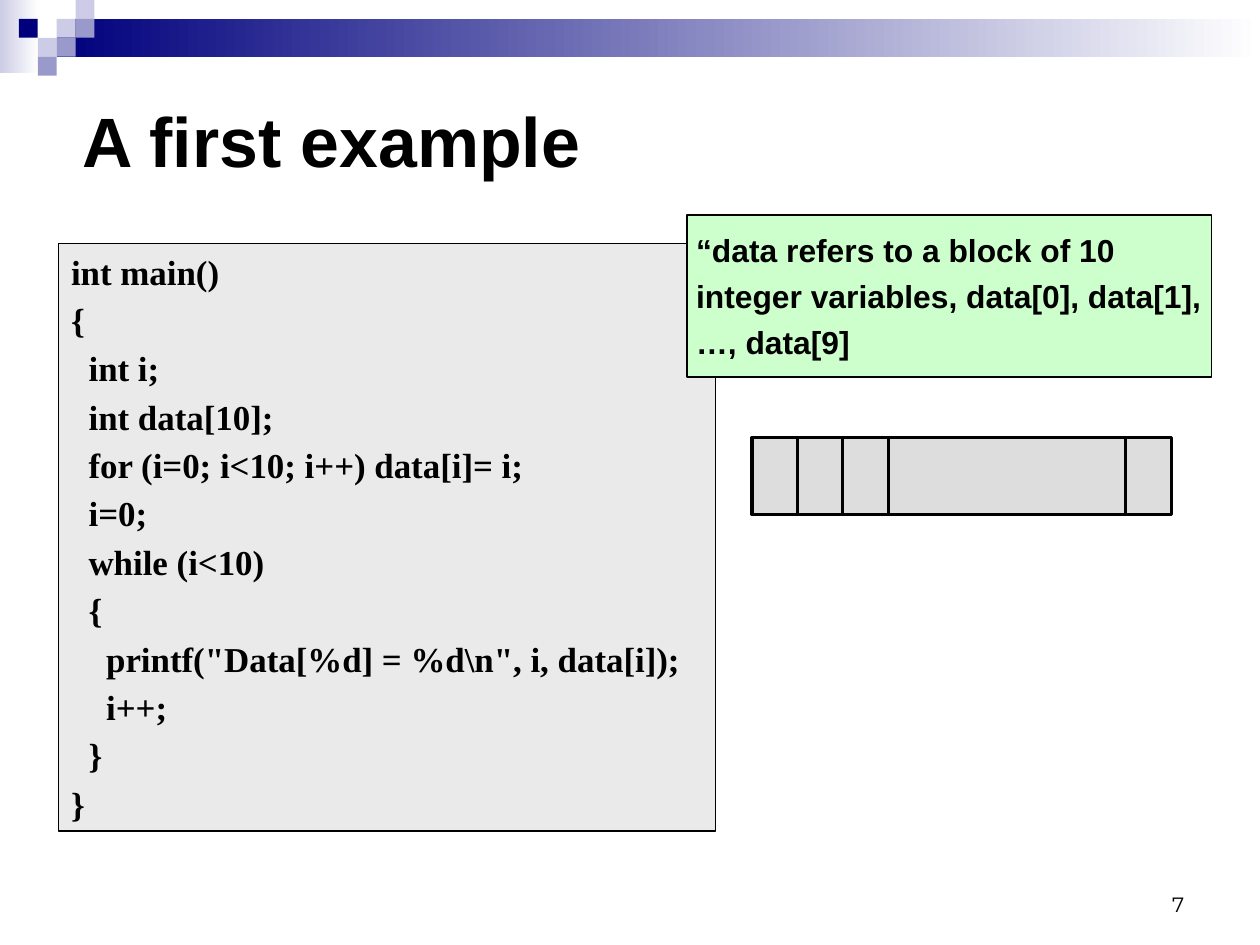
from pptx import Presentation
from pptx import util as u
from pptx.dml.color import RGBColor
from pptx.enum import shapes, text
from pptx.oxml.ns import qn
from lxml import etree

Cm, Pt = u.Cm, u.Pt

COLOURS = {
    "ink": "000000",
    "paper": "FFFFFF",
    "navy": "00007D",
    "lilac": "CCCCE6",
    "violet": "9999CC",
    "code": "EAEAEA",
    "callout": "CCFFCC",
    "cell": "DDDDDD",
}

# Indent level and text of each line of the program
PROGRAM = [
    (0, "int main()"),
    (0, "{"),
    (1, "int i;"),
    (1, "int data[10];"),
    (1, "for (i=0; i<10; i++) data[i]= i;"),
    (1, "i=0;"),
    (1, "while (i<10)"),
    (1, "{"),
    (2, 'printf("Data[%d] = %d\\n", i, data[i]);'),
    (2, "i++;"),
    (1, "}"),
    (0, "}"),
]
EXPLANATION = [
    (0, "“data refers to a block of 10"),
    (0, "integer variables, data[0], data[1],"),
    (0, "…, data[9]"),
]
INDENT = 0.39


def colour(name):
    return RGBColor.from_string(COLOURS[name])


def add_box(slide, box, fill=None, line_width=0):
    """Add a rectangle; box is left, top, width, height in cm."""
    rectangle = slide.shapes.add_shape(shapes.MSO_SHAPE.RECTANGLE, *map(Cm, box))
    rectangle.shadow.inherit = False
    if fill:
        rectangle.fill.solid()
        rectangle.fill.fore_color.rgb = colour(fill)
    if line_width:
        rectangle.line.color.rgb = colour("ink")
        rectangle.line.width = Pt(line_width)
    else:
        rectangle.line.fill.background()
    return rectangle


def add_fade(slide, box, start):
    band = add_box(slide, box)
    band.fill.gradient()
    band.fill.gradient_angle = 0
    for stop, name, position in zip(band.fill.gradient_stops, (start, "paper"), (0, 1)):
        stop.color.rgb = colour(name)
        stop.position = position


def set_frame(frame, anchor, left=0.28, right=0.28, edge=0.15, wrap=True):
    frame.word_wrap = wrap
    frame.auto_size = text.MSO_AUTO_SIZE.NONE
    frame.vertical_anchor = anchor
    frame.margin_left, frame.margin_right = Cm(left), Cm(right)
    frame.margin_top = frame.margin_bottom = Cm(edge)


def write_lines(frame, lines, font, size, bold=True, space=0, align=text.PP_ALIGN.LEFT):
    for number, (level, words) in enumerate(lines):
        paragraph = frame.add_paragraph() if number else frame.paragraphs[0]
        paragraph.alignment = align
        paragraph.space_before = Pt(space)
        if level:
            paragraph._p.get_or_add_pPr().set("marL", str(Cm(level * INDENT)))
        run = paragraph.add_run()
        run.text = words
        run.font.name = font
        run.font.size = Pt(size)
        run.font.bold = bold
        run.font.color.rgb = colour("ink")


def add_banner(slide, box):
    """Fading band with a mosaic of squares at its left end."""
    left, top, width, unit = box
    add_fade(slide, (left, top, 0.86, 1.63), "lilac")
    add_fade(slide, (left + 3 * unit, top + unit, width - 3 * unit, 2 * unit), "navy")
    mosaic = [
        (3, 1, "lilac"), (4, 0, "lilac"), (4, 1, "violet"), (2, 2, "lilac"),
        (1, 1, "navy"), (3, 2, "violet"), (2, 3, "violet"),
    ]
    for column, row, name in mosaic:
        add_box(slide, (left + column * unit, top + row * unit, unit, unit), name)


def add_title(slide, box, words):
    title = slide.shapes.title
    title.left, title.top, title.width, title.height = map(Cm, box)
    set_frame(title.text_frame, text.MSO_ANCHOR.MIDDLE)
    write_lines(title.text_frame, [(0, words)], "Arial", 44)


def add_program(slide, box):
    listing = add_box(slide, box, "code", 1)
    set_frame(listing.text_frame, text.MSO_ANCHOR.TOP)
    write_lines(listing.text_frame, PROGRAM, "Times New Roman", 22, space=4.1)


def add_explanation(slide, box):
    callout = add_box(slide, box, "callout", 1)
    set_frame(callout.text_frame, text.MSO_ANCHOR.MIDDLE, left=0.2, right=0, edge=0)
    write_lines(callout.text_frame, EXPLANATION, "Arial", 20, space=5)


def add_array(slide, box, cell):
    """Strip of memory: three cells at the start and one at the end."""
    left, top, width, height = box
    add_box(slide, box, "cell", 2)
    for offset in (cell, 2 * cell, 3 * cell, width - cell):
        x = Cm(left + offset)
        divider = slide.shapes.add_connector(
            shapes.MSO_CONNECTOR.STRAIGHT, x, Cm(top), x, Cm(top + height))
        divider.line.color.rgb = colour("ink")
        divider.line.width = Pt(2)
        etree.SubElement(divider._element.spPr, qn("a:effectLst"))


def add_page_number(slide, box, number):
    page = slide.shapes.add_textbox(*map(Cm, box))
    set_frame(page.text_frame, text.MSO_ANCHOR.BOTTOM)
    write_lines(page.text_frame, [(0, number)], "Montserrat", 13, bold=False,
                align=text.PP_ALIGN.RIGHT)


def main():
    deck = Presentation()
    deck.slide_width, deck.slide_height = Cm(28), Cm(21)
    slide = deck.slides.add_slide(deck.slide_layouts[5])
    add_banner(slide, (0, 0, 28, 0.42))
    add_page_number(slide, (20.07, 19.13, 6.53, 1.4), "7")
    add_title(slide, (1.55, 2.03, 26.44, 2.13), "A first example")
    add_program(slide, (1.3, 5.41, 14.6, 13.06))
    add_explanation(slide, (15.27, 4.78, 11.65, 3.6))
    add_array(slide, (16.71, 9.73, 9.32, 1.7), 1.01)
    deck.save("out.pptx")


if __name__ == "__main__":
    main()
